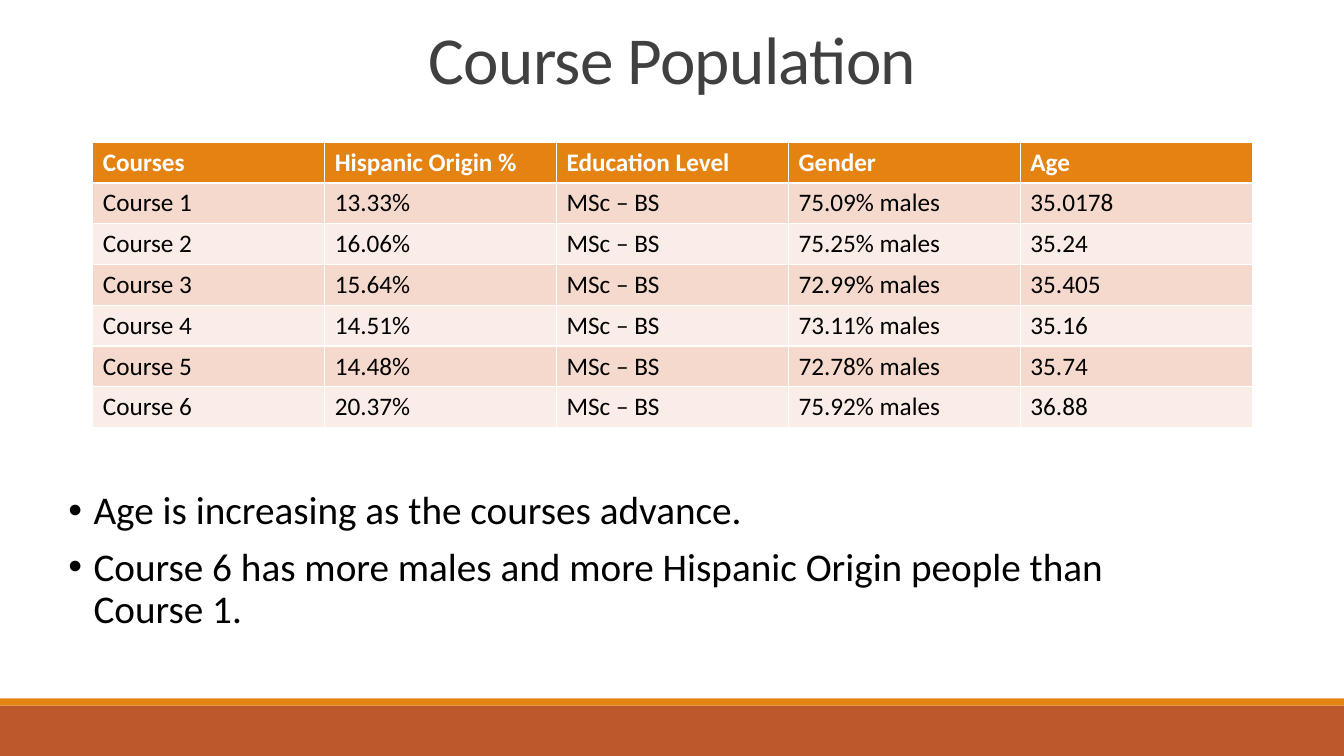
from dataclasses import dataclass

from lxml.etree import SubElement
from pptx import Presentation
from pptx.dml.color import RGBColor
from pptx.enum.shapes import MSO_SHAPE as Preset
from pptx.enum.text import MSO_ANCHOR as Anchor, PP_ALIGN as Align
from pptx.oxml.ns import qn
from pptx.util import Inches, Pt

COLOURS = {
    "rust": "BD582C",
    "orange": "E48312",
    "title": "404040",
    "text": "000000",
    "header text": "FFFFFF",
    "odd row": "F5D9CC",
    "even row": "FAEDE7",
}
FONT = "Calibri"
WIDTH, HEIGHT = 13.33, 7.5
CONTENT_WIDTH = 11.5
MARGIN = 0.92
ROW_HEIGHT = 0.405


@dataclass
class Box:
    left: float
    top: float
    width: float
    height: float

    def emu(self) -> tuple:
        return tuple(Inches(v) for v in (self.left, self.top, self.width, self.height))


@dataclass
class Band:
    box: Box
    colour: str


@dataclass
class Course:
    name: str
    hispanic: str
    gender: str
    age: str
    education: str = "MSc – BS"

    def cells(self) -> list[str]:
        return [self.name, self.hispanic, self.education, self.gender, self.age]


BANDS = [
    Band(Box(0, 7, WIDTH, 0.5), "rust"),
    Band(Box(0, 6.93, WIDTH, 0.07), "orange"),
]
HEADINGS = ["Courses", "Hispanic Origin %", "Education Level", "Gender", "Age"]
COURSES = [
    Course("Course 1", "13.33%", "75.09% males", "35.0178"),
    Course("Course 2", "16.06%", "75.25% males", "35.24"),
    Course("Course 3", "15.64%", "72.99% males", "35.405"),
    Course("Course 4", "14.51%", "73.11% males", "35.16"),
    Course("Course 5", "14.48%", "72.78% males", "35.74"),
    Course("Course 6", "20.37%", "75.92% males", "36.88"),
]
FINDINGS = [
    "Age is increasing as the courses advance.",
    "Course 6 has more males and more Hispanic Origin people than Course 1.",
]


def rgb(colour: str) -> RGBColor:
    return RGBColor.from_string(COLOURS[colour])


def style(paragraph, size: float, colour: str, bold: bool = False) -> None:
    for run in paragraph.runs:
        run.font.name = FONT
        run.font.size = Pt(size)
        run.font.bold = bold
        run.font.color.rgb = rgb(colour)


def draw_band(slide, band: Band) -> None:
    strip = slide.shapes.add_shape(Preset.RECTANGLE, *band.box.emu())
    strip.shadow.inherit = False
    strip.fill.solid()
    strip.fill.fore_color.rgb = rgb(band.colour)
    strip.line.fill.background()


def draw_title(slide, title: str, box: Box) -> None:
    frame = slide.shapes.add_textbox(*box.emu()).text_frame
    frame.word_wrap = True
    frame.vertical_anchor = Anchor.BOTTOM
    frame.text = title
    heading = frame.paragraphs[0]
    heading.alignment = Align.CENTER
    heading.line_spacing = 0.85
    style(heading, 48, "title")
    for run in heading.runs:
        run.font._element.set("spc", "-50")


def draw_population(slide, rows: list[list[str]], box: Box) -> None:
    # The default table style supplies the white cell borders
    population = slide.shapes.add_table(len(rows), len(rows[0]), *box.emu()).table
    for r, row in enumerate(rows):
        if r == 0:
            fill, ink = "orange", "header text"
        else:
            fill, ink = ("odd row" if r % 2 else "even row"), "text"
        for c, value in enumerate(row):
            cell = population.cell(r, c)
            cell.fill.solid()
            cell.fill.fore_color.rgb = rgb(fill)
            cell.text_frame.text = value
            style(cell.text_frame.paragraphs[0], 18, ink, bold=r == 0)


def draw_findings(slide, findings: list[str], box: Box) -> None:
    frame = slide.shapes.add_textbox(*box.emu()).text_frame
    frame.word_wrap = True
    frame.text = "\n".join(findings)
    for finding in frame.paragraphs:
        finding.line_spacing = 0.9
        finding.space_before = Pt(10)
        style(finding, 28, "text")
        # Hanging bullet
        properties = finding._p.get_or_add_pPr()
        properties.set("marL", str(Inches(0.25)))
        properties.set("indent", str(-Inches(0.25)))
        SubElement(properties, qn("a:buFont")).set("typeface", "Arial")
        SubElement(properties, qn("a:buChar")).set("char", "•")


def main() -> None:
    deck = Presentation()
    deck.slide_width, deck.slide_height = Inches(WIDTH), Inches(HEIGHT)
    slide = deck.slides.add_slide(deck.slide_layouts[6])

    # Footer bands
    for band in BANDS:
        draw_band(slide, band)

    # Title, table and findings
    draw_title(slide, "Course Population", Box(MARGIN, 0, CONTENT_WIDTH, 1.02))
    rows = [HEADINGS] + [course.cells() for course in COURSES]
    draw_population(slide, rows, Box(MARGIN, 1.41, CONTENT_WIDTH, ROW_HEIGHT * len(rows)))
    draw_findings(slide, FINDINGS, Box(0.58, 4.82, CONTENT_WIDTH, 2.43))

    deck.save("out.pptx")


if __name__ == "__main__":
    main()
